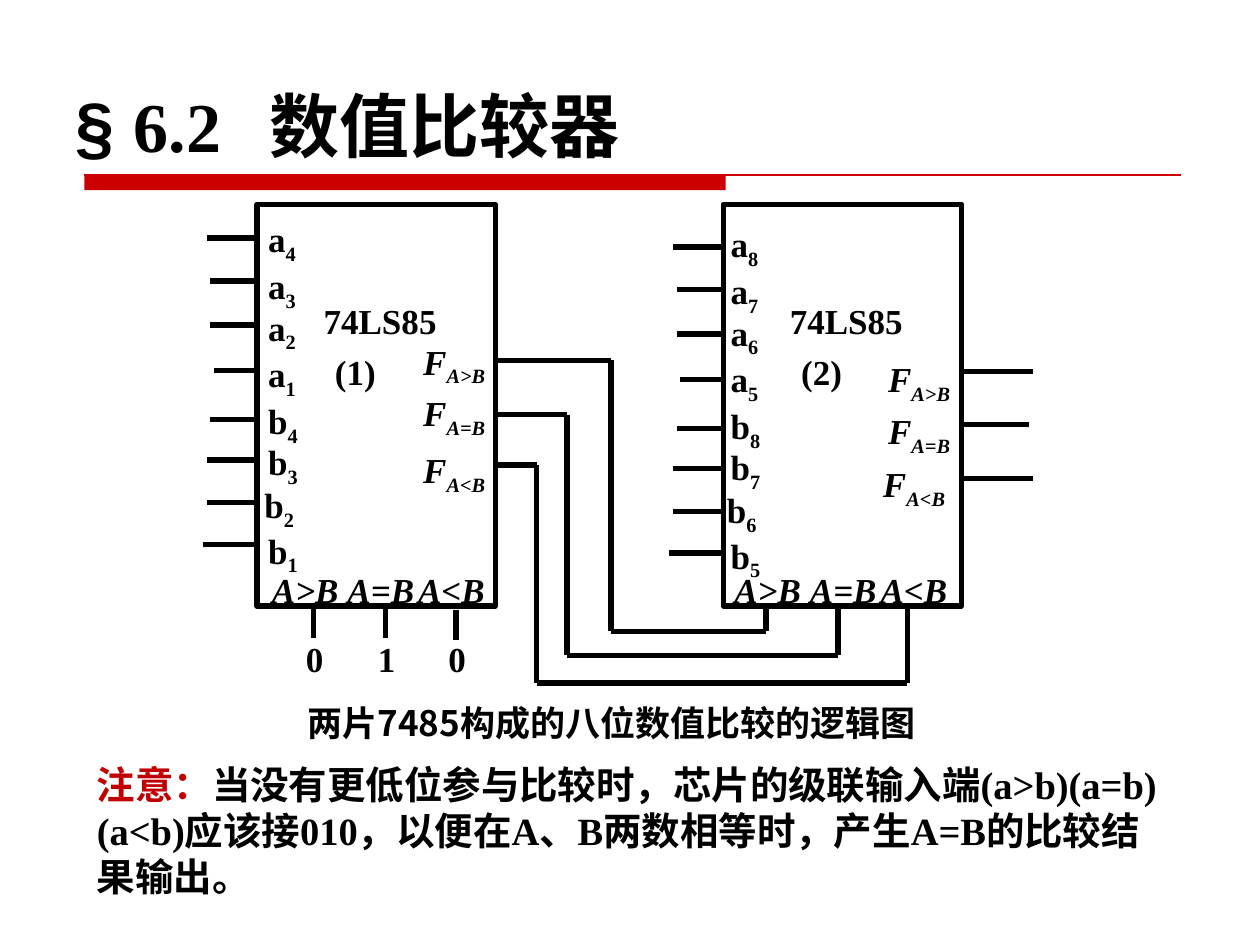
from dataclasses import dataclass
from itertools import pairwise

from lxml import etree
from pptx import Presentation
from pptx.dml.color import RGBColor
from pptx.enum.shapes import MSO_CONNECTOR, MSO_SHAPE
from pptx.enum.text import PP_ALIGN
from pptx.oxml.ns import qn
from pptx.util import Pt

RECT = MSO_SHAPE.RECTANGLE
STRAIGHT = MSO_CONNECTOR.STRAIGHT
JUSTIFY, LEFT = PP_ALIGN.JUSTIFY, PP_ALIGN.LEFT
PX = 9144  # 100 px to the inch


@dataclass(frozen=True)
class Theme:
    ink: str = "000000"
    paper: str = "FFFFFF"
    bar: str = "CC0000"
    alert: str = "C00000"
    serif: str = "Times New Roman"
    sans: str = "Arial"
    han: str = "Noto Sans CJK SC"
    title: int = 40
    note: int = 22
    label: int = 20
    wire: float = 3
    hair: float = 0.75


T = Theme()

TITLE = [("§ ", {"face": T.sans}), ("6.2\t数值比较器", {})]
CAPTION = [("两片7485构成的八位数值比较的逻辑图", {"face": T.han})]
NOTE = [
    ("注意：", {"color": T.alert}),
    ("当没有更低位参与比较时，芯片的级联输入端(a>b)(a=b)(a<b)应该接010，"
     "以便在A、B两数相等时，产生A=B的比较结果输出。", {}),
]

# Inputs: label top, pin height, pin length
INPUTS = [(168, 189, 40), (205, 223, 37), (238, 258, 37), (275, 294, 34),
          (312, 333, 37), (345, 365, 40), (379, 399, 40), (415, 432, 43)]
CASCADE = [("A>B", 0), ("A=B", 60), ("A<B", 116)]
CHIPS = [
    {"name": "(1)", "left": 204, "text": 203, "bits": "4321", "drop": 0, "pin": 0,
     "outs": [("A>B", 326, 265), ("A=B", 326, 306), ("A<B", 326, 351)]},
    {"name": "(2)", "left": 574, "text": 570, "bits": "8765", "drop": 4, "pin": 7,
     "outs": [("A>B", 695, 279), ("A=B", 695, 320), ("A<B", 691, 362)]},
]
TOP, WIDE, HIGH = 162, 189, 319

# Cascade wires: start height, lane x, lane y, end x
WIRES = [(286, 485, 501, 608), (329, 450, 520, 665), (369, 426, 542, 720)]
ENDS = [(295, 820), (337, 817), (380, 820)]
FEEDS = [("0", 249, 482), ("1", 306, 482), ("0", 362, 484)]


def draw_line(shapes, start, end, color=T.ink, width=T.wire):
    line = shapes.add_connector(STRAIGHT, *(v * PX for v in (*start, *end)))
    line.line.color.rgb = RGBColor.from_string(color)
    line.line.width = Pt(width)
    etree.SubElement(line._element.spPr, qn("a:effectLst"))


def draw_box(shapes, x, y, w, h, fill, edge=None):
    box = shapes.add_shape(RECT, x * PX, y * PX, w * PX, h * PX)
    box.shadow.inherit = False
    box.fill.solid()
    box.fill.fore_color.rgb = RGBColor.from_string(fill)
    if edge:
        box.line.color.rgb = RGBColor.from_string(edge)
        box.line.width = Pt(T.wire)
    else:
        box.line.fill.background()


def write(shapes, x, y, w, h, runs, size=T.label, align=JUSTIFY, pitch=None, tab=None):
    """Add bold text; pitch is a fixed line height in points, tab a stop in px."""
    frame = shapes.add_textbox(x * PX, y * PX, w * PX, h * PX).text_frame
    frame.word_wrap = True
    para = frame.paragraphs[0]
    para.alignment = align
    if pitch:
        para.line_spacing = Pt(pitch)
    if tab:
        stops = etree.SubElement(para._p.get_or_add_pPr(), qn("a:tabLst"))
        etree.SubElement(stops, qn("a:tab"), pos=str(tab * PX), algn="l")
    for text, style in runs:
        run = para.add_run()
        run.text = text
        font = run.font
        font.size, font.bold = Pt(size), True
        font.italic = style.get("italic", False)
        font.color.rgb = RGBColor.from_string(style.get("color", T.ink))
        font.name = style.get("face", T.serif)
        props = run._r.get_or_add_rPr()
        etree.SubElement(props, qn("a:ea"), typeface=T.han)
        if style.get("sub"):
            props.set("baseline", "-25000")


def draw_chip(shapes, chip):
    left, text = chip["left"], chip["text"]
    draw_box(shapes, left, TOP, WIDE, HIGH, T.paper, T.ink)
    names = [(letter, bit) for letter in "ab" for bit in chip["bits"]]
    for i, ((letter, bit), (top, pin, size)) in enumerate(zip(names, INPUTS)):
        nudge = 3 if i == 6 else 0
        write(shapes, text - nudge, top + chip["drop"], 89, 62,
              [(letter, {}), (bit, {"sub": True})])
        y = pin + chip["pin"]
        draw_line(shapes, (left, y), (left - size, y))
    for sign, x, y in chip["outs"]:
        write(shapes, x, y, 100, 57,
              [("F", {"italic": True}), (sign, {"italic": True, "sub": True})])
    for sign, step in CASCADE:
        write(shapes, text + 3 + step, 446, 100, 63, [(sign, {"italic": True})])
    write(shapes, left + 43, 233, 130, 62, [("74LS85", {})])
    write(shapes, left + 52, 273, 114, 105, [(chip["name"], {})])


def main():
    deck = Presentation()
    deck.slide_width, deck.slide_height = 1000 * PX, 750 * PX
    shapes = deck.slides.add_slide(deck.slide_layouts[6]).shapes

    draw_box(shapes, 67, 139, 509, 12, T.bar)
    draw_line(shapes, (67, 139), (937, 139), T.bar, T.hair)
    write(shapes, 50, 55, 900, 86, TITLE, T.title, LEFT, pitch=52, tab=154)

    right = CHIPS[0]["left"] + WIDE
    base = TOP + HIGH
    for y, lane, low, end in WIRES:
        route = [(right, y), (lane, y), (lane, low), (end, low), (end, base)]
        for start, stop in pairwise(route):
            draw_line(shapes, start, stop)
    for chip in CHIPS:
        draw_chip(shapes, chip)
    for y, end in ENDS:
        draw_line(shapes, (CHIPS[1]["left"] + WIDE, y), (end, y))
    for value, x, y in FEEDS:
        draw_line(shapes, (x, y), (x, y + 24))
        write(shapes, x - 16, 501, 60, 58, [(value, {})])

    write(shapes, 234, 549, 532, 54, CAPTION, pitch=26)
    write(shapes, 67, 599, 874, 120, NOTE, T.note, LEFT, pitch=26.3)
    deck.save("out.pptx")


if __name__ == "__main__":
    main()
